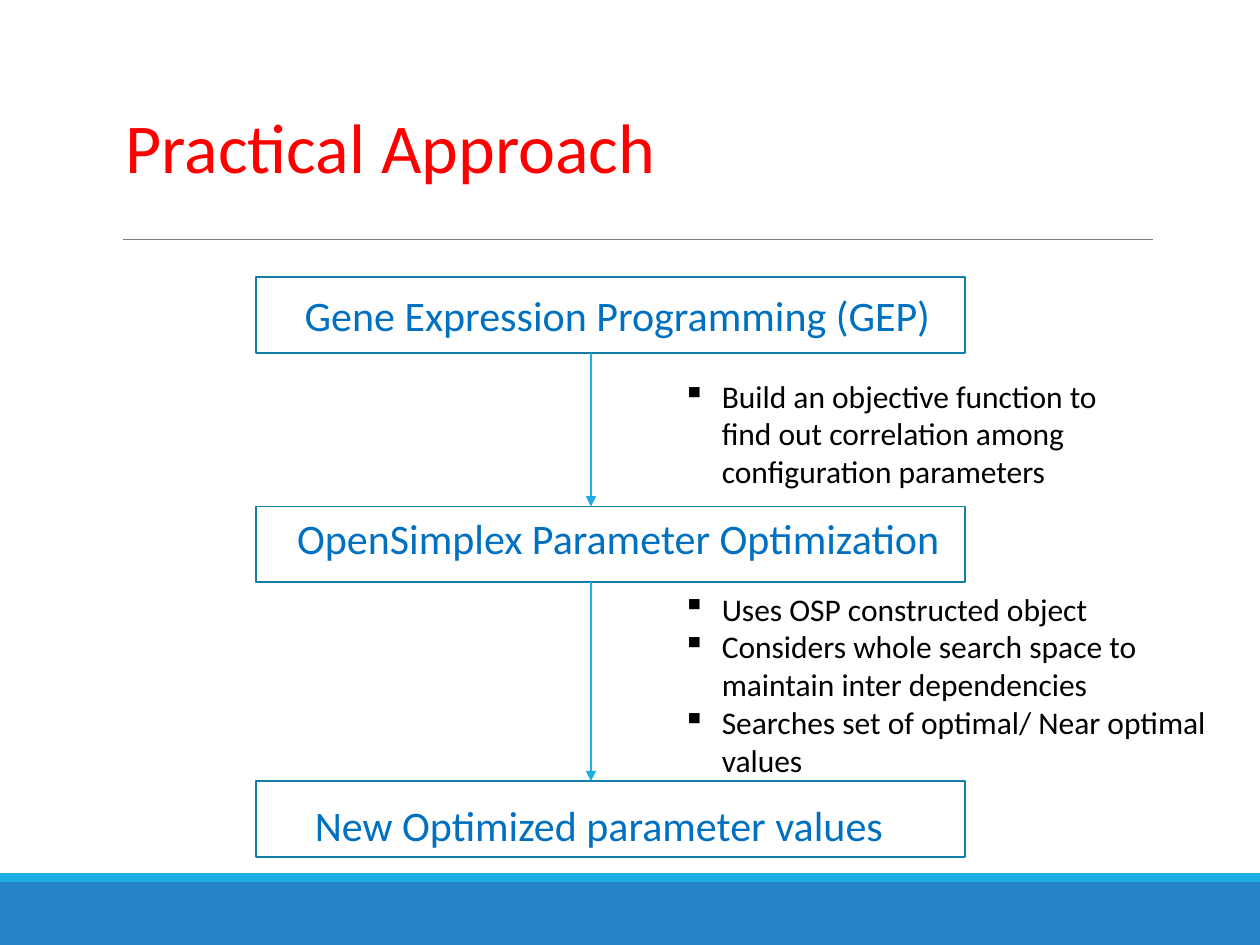
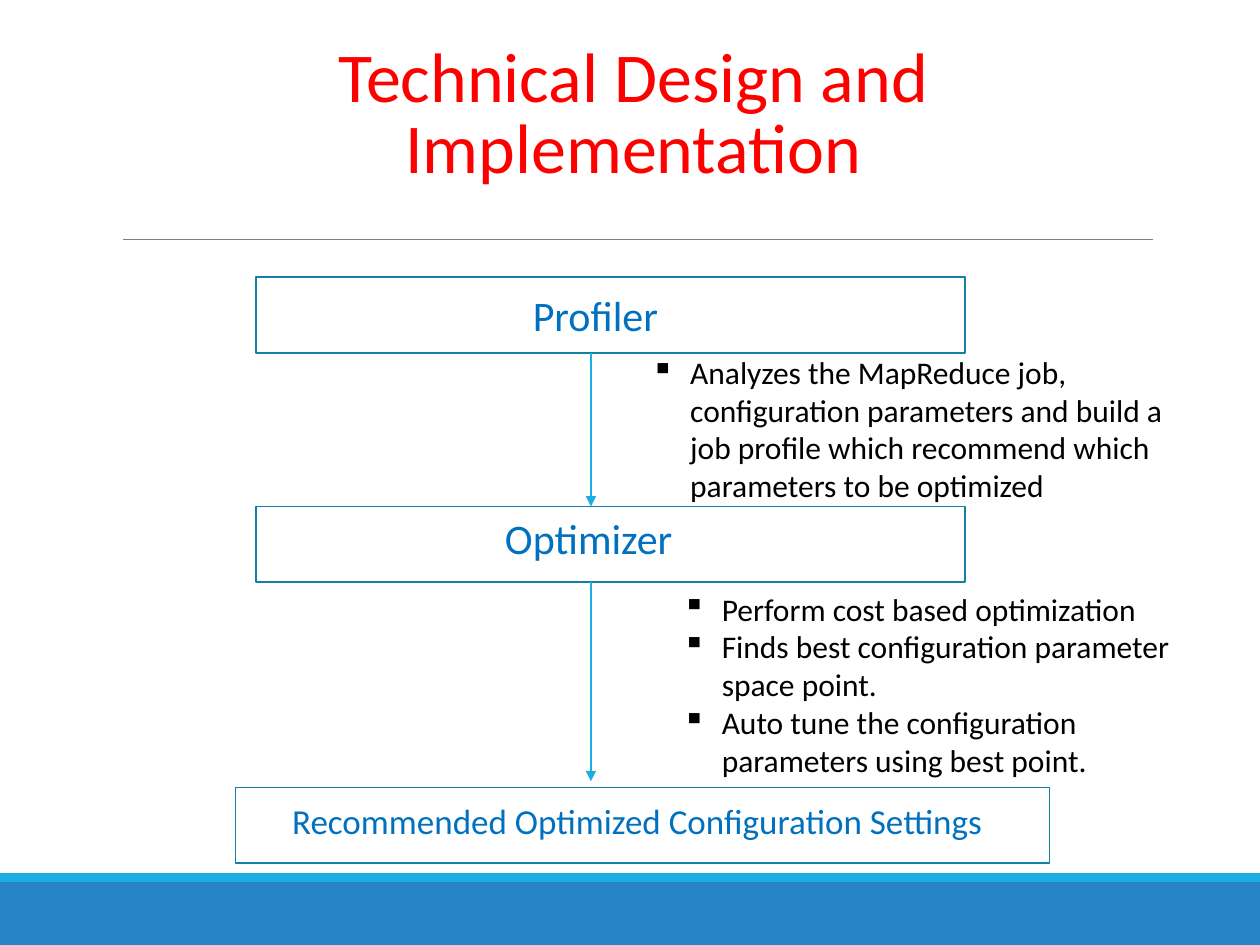
from lxml import etree
from pptx import Presentation
from pptx.dml.color import RGBColor
from pptx.enum.shapes import MSO_CONNECTOR, MSO_SHAPE
from pptx.enum.text import MSO_ANCHOR, PP_ALIGN
from pptx.oxml.ns import qn
from pptx.util import Inches, Pt

RECTANGLE = MSO_SHAPE.RECTANGLE
STRAIGHT = MSO_CONNECTOR.STRAIGHT
LEFT, CENTER = PP_ALIGN.LEFT, PP_ALIGN.CENTER
TOP, BOTTOM = MSO_ANCHOR.TOP, MSO_ANCHOR.BOTTOM

FONT = "Calibri"
COLORS = {
    "title": "FF0000",
    "label": "0070C0",
    "body": "000000",
    "band": "2683C6",
    "accent": "1CADE4",
    "outline": "147EA6",
    "rule": "7F7F7F",
}

STEP_LEFT, STEP_WIDTH, STEP_HEIGHT = 2.03, 5.63, 0.6
FIRST_TOP, SECOND_TOP = 2.2, 4.02
ARROW_X, LAST_ARROW_END = 4.69, 6.2
BULLET_INDENT = 0.31


def color(name):
    return RGBColor.from_string(COLORS[name])


def add_band(page, top, height, fill):
    band = page.shapes.add_shape(
        RECTANGLE, 0, Inches(top), Inches(10), Inches(height))
    band.shadow.inherit = False
    band.fill.solid()
    band.fill.fore_color.rgb = color(fill)
    band.line.fill.background()


def add_step(page, left, top, width):
    step = page.shapes.add_shape(
        RECTANGLE, Inches(left), Inches(top), Inches(width), Inches(STEP_HEIGHT))
    step.shadow.inherit = False
    step.fill.background()
    step.line.color.rgb = color("outline")
    step.line.width = Pt(1)


def add_line(page, start, end, stroke, weight):
    line = page.shapes.add_connector(
        STRAIGHT, *(Inches(value) for value in (*start, *end)))
    line.line.color.rgb = color(stroke)
    line.line.width = Pt(weight)
    etree.SubElement(line._element.spPr, qn("a:effectLst"))
    return line


def add_arrow(page, top, bottom):
    arrow = add_line(page, (ARROW_X, top), (ARROW_X, bottom), "accent", 1)
    etree.SubElement(arrow.line._get_or_add_ln(), qn("a:tailEnd"), type="triangle")


def add_text_frame(page, place, anchor=TOP):
    box = page.shapes.add_textbox(*(Inches(value) for value in place))
    frame = box.text_frame
    frame.word_wrap = True
    frame.vertical_anchor = anchor
    return frame


def add_span(para, text, size, ink):
    span = para.add_run()
    span.text = text
    span.font.name = FONT
    span.font.size = Pt(size)
    span.font.color.rgb = color(ink)


def set_indent(para, margin, first_line=0):
    properties = para._p.get_or_add_pPr()
    properties.set("marL", str(Inches(margin)))
    properties.set("indent", str(Inches(first_line)))
    return properties


def add_title(page, text, align):
    para = add_text_frame(page, (0.9, 0.31, 8.25, 1.23), BOTTOM).paragraphs[0]
    para.alignment = align
    para.line_spacing = 0.85
    add_span(para, text, 40, "title")


def add_label(page, text, place, indent=0, size=24):
    para = add_text_frame(page, place).paragraphs[0]
    set_indent(para, indent)
    add_span(para, text, size, "label")


def add_bullets(page, items, place):
    frame = add_text_frame(page, place)
    for index, item in enumerate(items):
        para = frame.add_paragraph() if index else frame.paragraphs[0]
        properties = set_indent(para, BULLET_INDENT, -BULLET_INDENT)
        bullet_color = etree.SubElement(properties, qn("a:buClr"))
        etree.SubElement(bullet_color, qn("a:srgbClr"), val=COLORS["body"])
        etree.SubElement(properties, qn("a:buChar"), char="▪")
        add_span(para, item, 18, "body")


def add_flow_page(deck, title, align):
    """Add a page with bands, title, two steps and the arrows below them."""
    page = deck.slides.add_slide(deck.slide_layouts[6])
    add_band(page, 7, 0.5, "band")
    add_band(page, 6.93, 0.07, "accent")
    add_line(page, (0.98, 1.9), (9.15, 1.9), "rule", 0.75)
    add_title(page, title, align)
    for top, arrow_end in ((FIRST_TOP, SECOND_TOP), (SECOND_TOP, LAST_ARROW_END)):
        add_step(page, STEP_LEFT, top, STEP_WIDTH)
        add_arrow(page, top + STEP_HEIGHT, arrow_end)
    return page


def main():
    deck = Presentation()
    deck.slide_width, deck.slide_height = Inches(10), Inches(7.5)

    first_label = (2.32, 2.25, 5.42, 0.5)
    second_label = (STEP_LEFT, SECOND_TOP, STEP_WIDTH, 0.5)
    second_notes = (5.32, 4.63, 4.45, 1.62)

    page = add_flow_page(deck, "Practical Approach", LEFT)
    add_step(page, STEP_LEFT, 6.2, STEP_WIDTH)
    add_label(page, "Gene Expression Programming (GEP)", first_label)
    add_label(page, "OpenSimplex Parameter Optimization", second_label, 0.23)
    add_label(page, "New Optimized parameter values", (2.25, 6.3, 5.42, 0.5), 0.15)
    add_bullets(page, [
        "Build an objective function to find out correlation among "
        "configuration parameters",
    ], (5.32, 2.94, 3.52, 1.31))
    add_bullets(page, [
        "Uses OSP constructed object",
        "Considers whole search space to maintain inter dependencies",
        "Searches set of optimal/ Near optimal values",
    ], second_notes)

    page = add_flow_page(deck, "Technical Design and Implementation", CENTER)
    add_step(page, 1.87, 6.25, 6.46)
    add_label(page, "Profiler", first_label, 1.81)
    add_label(page, "Optimizer", second_label, 1.88)
    add_label(page, "Recommended Optimized Configuration Settings",
              (2.07, 6.3, 6.06, 0.5), 0.15, 20)
    add_bullets(page, [
        "Analyzes the MapReduce job, configuration parameters and build a job "
        "profile which recommend which parameters to be optimized",
    ], (5.07, 2.75, 4.57, 1.31))
    add_bullets(page, [
        "Perform cost based optimization",
        "Finds best configuration parameter space point.",
        "Auto tune the configuration parameters using best point.",
    ], second_notes)

    deck.save("out.pptx")


if __name__ == "__main__":
    main()
